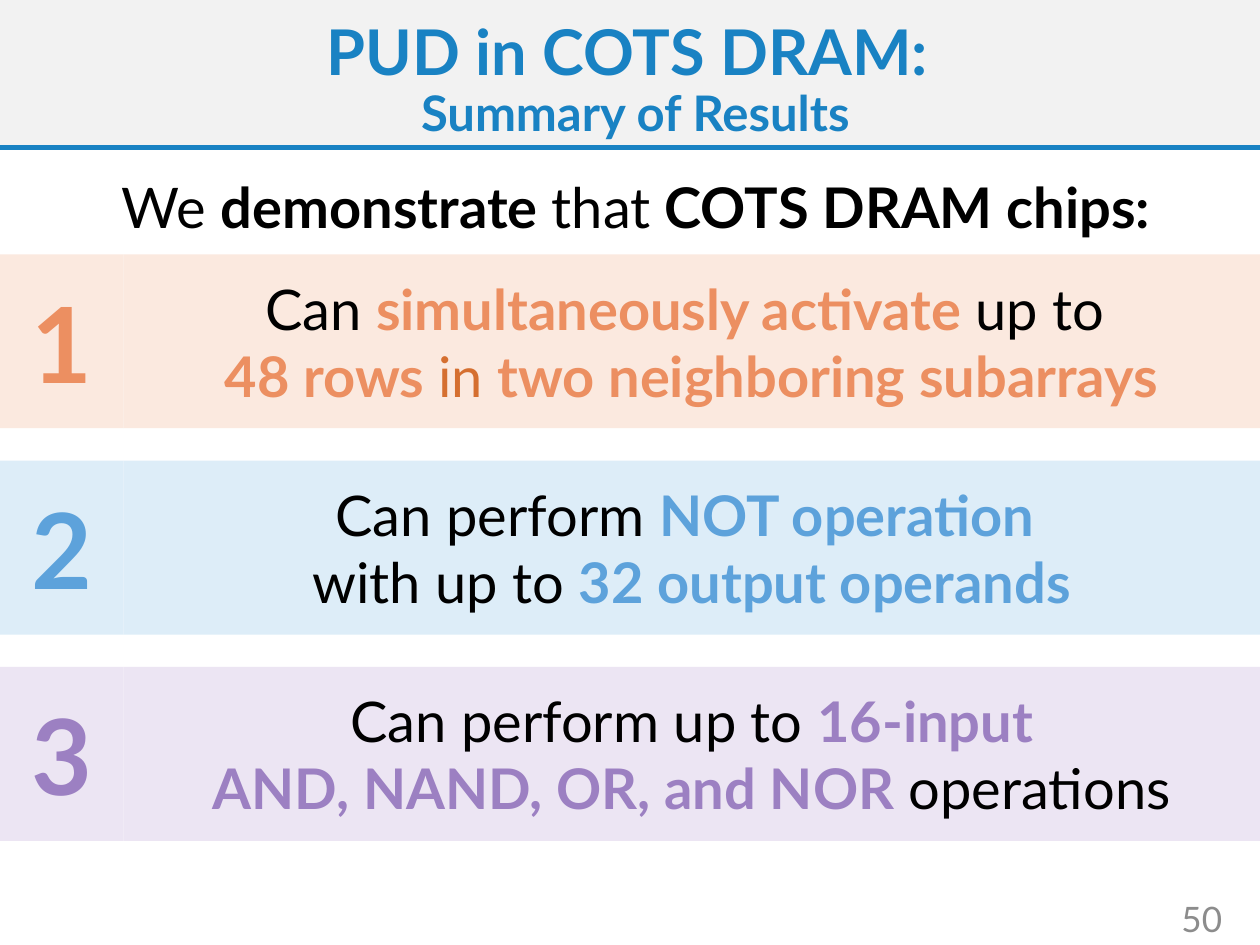
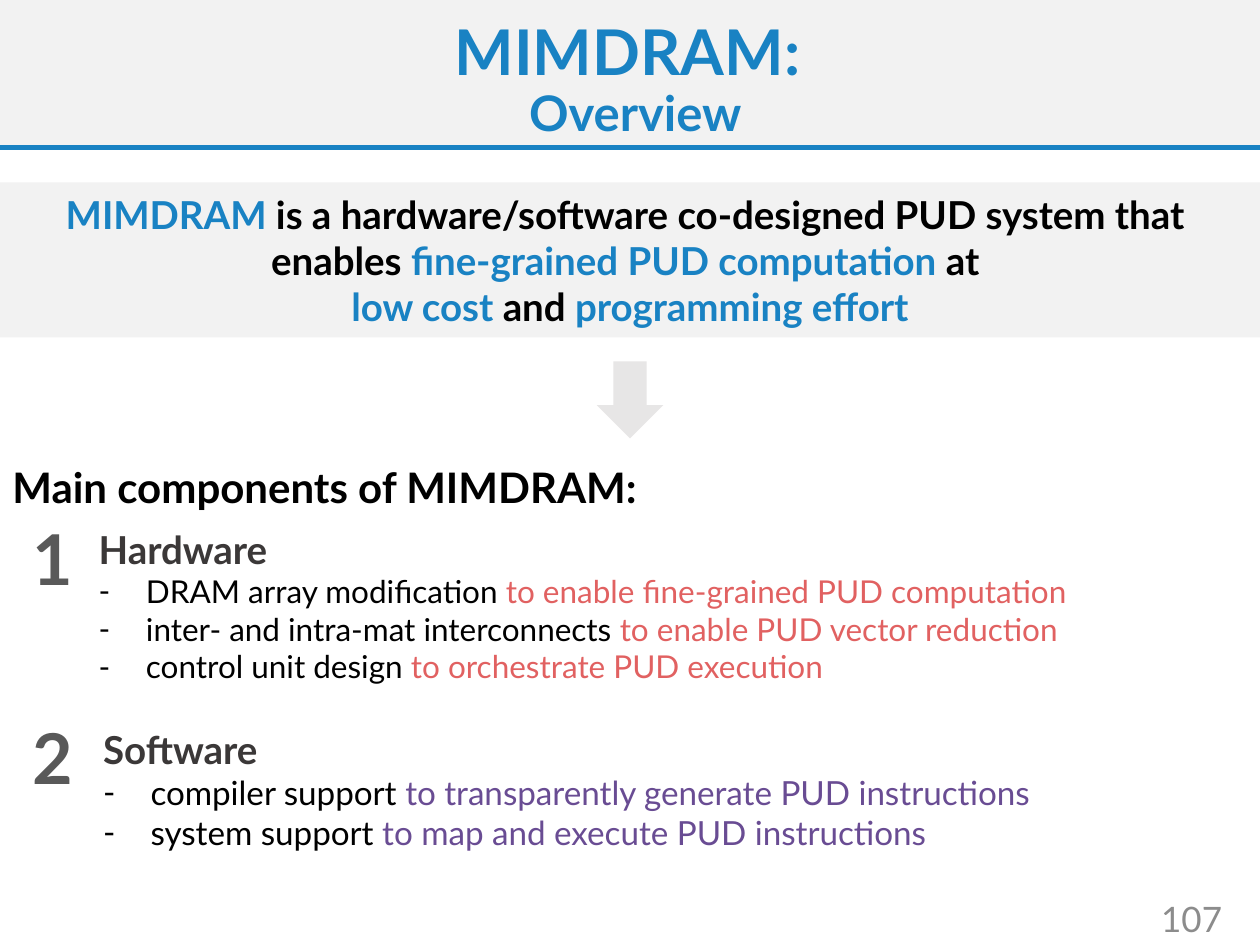
from lxml.etree import SubElement
from pptx import Presentation
from pptx.dml.color import RGBColor
from pptx.enum.shapes import MSO_CONNECTOR, MSO_SHAPE
from pptx.enum.text import MSO_ANCHOR, MSO_AUTO_SIZE, PP_ALIGN
from pptx.oxml.ns import qn
from pptx.util import Pt

FONT = "Lato"
WIDTH, HEIGHT = 720, 540

BLUE = RGBColor(0x19, 0x82, 0xC3)
BLACK = RGBColor(0, 0, 0)
BAND = RGBColor(0xF2, 0xF2, 0xF2)
PAGE_GRAY = RGBColor(0x8C, 0x8C, 0x8C)
ARROW_GRAY = RGBColor(0xE7, 0xE6, 0xE6)
NUMBER_GRAY = RGBColor(0x59, 0x59, 0x59)
HEADING_GRAY = RGBColor(0x3B, 0x38, 0x38)
ORANGE = RGBColor(0xEC, 0x8F, 0x61)
DARK_ORANGE = RGBColor(0xD5, 0x6F, 0x30)
LIGHT_ORANGE = RGBColor(0xFB, 0xE9, 0xDF)
SKY = RGBColor(0x5D, 0xA2, 0xDB)
LIGHT_SKY = RGBColor(0xDD, 0xED, 0xF8)
VIOLET = RGBColor(0x9C, 0x80, 0xC2)
LIGHT_VIOLET = RGBColor(0xEC, 0xE5, 0xF3)
RED = RGBColor(0xE1, 0x61, 0x61)
PURPLE = RGBColor(0x69, 0x4C, 0x93)

TITLE_ONLY, TWO_CONTENT = 5, 3


def run(text, color=BLACK, bold=False, size=None):
    """Describe one run; without a size it takes that of its box."""
    return text, color, bold, size


class Deck:
    def __init__(self):
        self.prs = Presentation()
        self.prs.slide_width, self.prs.slide_height = Pt(WIDTH), Pt(HEIGHT)
        self.s = None

    def slide(self, layout, title, subtitle, number):
        """Start a slide with the shared header and page number."""
        self.s = self.prs.slides.add_slide(self.prs.slide_layouts[layout])
        sp = self.s.shapes.title
        band = self.box(0, 0, WIDTH, 84.24, BAND)
        rule = self.line(0, 84.24, WIDTH, 84.24, BLUE, 3)
        for part in (band, rule):
            sp.element.addprevious(part.element)
        self.place(sp, 13, 10, 700, 73)
        heading = [run(title + " \n", BLUE, True), run(subtitle, BLUE, True, 28)]
        self.fill_text(sp, [heading], 36, PP_ALIGN.CENTER, spacing=0.9)
        self.text(628, 510.5, 77.5, 28.8, [[run(number, PAGE_GRAY)]], 20,
                  PP_ALIGN.RIGHT, MSO_ANCHOR.MIDDLE)

    def place(self, sp, x, y, w, h):
        for name, value in dict(left=x, top=y, width=w, height=h).items():
            setattr(sp, name, Pt(value))

    def fill_text(self, sp, paragraphs, size, align=PP_ALIGN.LEFT,
                  anchor=MSO_ANCHOR.MIDDLE, spacing=1.0):
        tf = sp.text_frame
        frame = dict(word_wrap=True, auto_size=MSO_AUTO_SIZE.NONE, vertical_anchor=anchor)
        for name, value in frame.items():
            setattr(tf, name, value)
        layout = dict(alignment=align, line_spacing=spacing, space_before=Pt(0))
        for i, runs in enumerate(paragraphs):
            p = tf.paragraphs[0] if i == 0 else tf.add_paragraph()
            for name, value in layout.items():
                setattr(p, name, value)
            for text, color, bold, own_size in runs:
                for j, piece in enumerate(text.split("\n")):
                    if j:
                        p.add_line_break()
                    if piece:
                        r = p.add_run()
                        r.text = piece
                        style = dict(name=FONT, size=Pt(own_size or size), bold=bold)
                        for name, value in style.items():
                            setattr(r.font, name, value)
                        r.font.color.rgb = color

    def box(self, x, y, w, h, fill, paragraphs=(), size=32, kind=MSO_SHAPE.RECTANGLE):
        sp = self.s.shapes.add_shape(kind, Pt(x), Pt(y), Pt(w), Pt(h))
        sp.shadow.inherit = False
        sp.fill.solid()
        sp.fill.fore_color.rgb = fill
        sp.line.fill.background()
        self.fill_text(sp, paragraphs, size, PP_ALIGN.CENTER)
        return sp

    def line(self, x1, y1, x2, y2, color, width):
        cn = self.s.shapes.add_connector(MSO_CONNECTOR.STRAIGHT, Pt(x1), Pt(y1), Pt(x2), Pt(y2))
        cn.line.color.rgb = color
        cn.line.width = Pt(width)
        SubElement(cn.element.spPr, qn("a:effectLst"))
        return cn

    def text(self, x, y, w, h, paragraphs, size, align=PP_ALIGN.LEFT,
             anchor=MSO_ANCHOR.TOP, spacing=1.0):
        sp = self.s.shapes.add_textbox(Pt(x), Pt(y), Pt(w), Pt(h))
        self.fill_text(sp, paragraphs, size, align, anchor, spacing)

    def dash_list(self, idx, x, y, w, h, heading, items, color, size):
        """Fill a body placeholder with a heading and dashed items."""
        sp = self.s.placeholders[idx]
        self.place(sp, x, y, w, h)
        paragraphs = [[run(heading, HEADING_GRAY, True, 22)]]
        paragraphs += [[run(what), run(why, color)] for what, why in items]
        self.fill_text(sp, paragraphs, size, anchor=MSO_ANCHOR.TOP)
        for i, p in enumerate(sp.text_frame.paragraphs):
            pPr = p._p.get_or_add_pPr()
            indent = Pt(27) if i else 0
            pPr.set("marL", str(indent))
            pPr.set("indent", str(-indent))
            if i:
                SubElement(pPr, qn("a:buFont"), typeface=FONT)
                SubElement(pPr, qn("a:buChar"), char="-")
            else:
                SubElement(pPr, qn("a:buNone"))


def results_slide(d):
    d.slide(TITLE_ONLY, "PUD in COTS DRAM:", "Summary of Results", "50")
    claim = [run("We "), run("demonstrate ", bold=True), run("that"),
             run(" COTS DRAM chips:", bold=True)]
    d.text(3.6, 83.5, WIDTH, 73.4, [claim], 32, PP_ALIGN.CENTER, MSO_ANCHOR.MIDDLE, 0.9)

    # Numbered result bands
    results = [
        (ORANGE, LIGHT_ORANGE, [
            [run("Can "), run("simultaneously activate ", ORANGE, True), run("up to ")],
            [run("48 rows ", ORANGE, True), run("in ", DARK_ORANGE),
             run("two neighboring subarrays", ORANGE, True)]]),
        (SKY, LIGHT_SKY, [
            [run("Can perform "), run("NOT operation ", SKY, True)],
            [run("with up to "), run("32 output operands", SKY, True)]]),
        (VIOLET, LIGHT_VIOLET, [
            [run("Can perform up to "), run("16-input", VIOLET, True)],
            [run("AND, NAND, OR, and NOR ", VIOLET, True), run("operations")]]),
    ]
    top, pitch, height, number_w = 145.3, 117.9, 99.4, 70.6
    for i, (color, fill, paragraphs) in enumerate(results):
        y = top + i * pitch
        d.box(number_w, y, WIDTH - number_w, height, fill, paragraphs)
        d.box(0, y, number_w, height, fill, [[run(str(i + 1), color, True)]], 60)


def overview_slide(d):
    d.slide(TWO_CONTENT, "MIMDRAM:", "Overview", "107")

    # Definition band and arrow
    definition = [
        ("MIMDRAM", BLUE),
        (" is a hardware/software co-designed PUD system that \nenables ", BLACK),
        ("fine-grained PUD computation ", BLUE), ("at \n", BLACK),
        ("low cost ", BLUE), ("and ", BLACK), ("programming effort", BLUE)]
    d.box(0, 104.2, WIDTH, 88.6, BAND, [[run(t, c, True) for t, c in definition]], 22)
    d.box(341, 206.5, 38, 44, ARROW_GRAY, kind=MSO_SHAPE.DOWN_ARROW)

    # Main components
    d.text(0, 260, WIDTH, 36, [[run("Main components of MIMDRAM:", bold=True)]], 24)
    for number, y in (("1", 291), ("2", 404.8)):
        d.text(11.5, y, 42, 55.5, [[run(number, NUMBER_GRAY, True)]], 40)
    d.dash_list(1, 49.2, 296.8, 660, 99.4, "Hardware", [
        ("DRAM array modification ", "to enable fine-grained PUD computation"),
        ("inter- and intra-mat interconnects ", "to enable PUD vector reduction"),
        ("control unit design", " to orchestrate PUD execution")], RED, 18)
    d.dash_list(2, 51.8, 411.2, 660, 80, "Software", [
        ("compiler support ", "to transparently generate PUD instructions"),
        ("system support ", "to map and execute PUD instructions")], PURPLE, 19)


def main():
    d = Deck()
    results_slide(d)
    overview_slide(d)
    d.prs.save("out.pptx")


if __name__ == "__main__":
    main()
